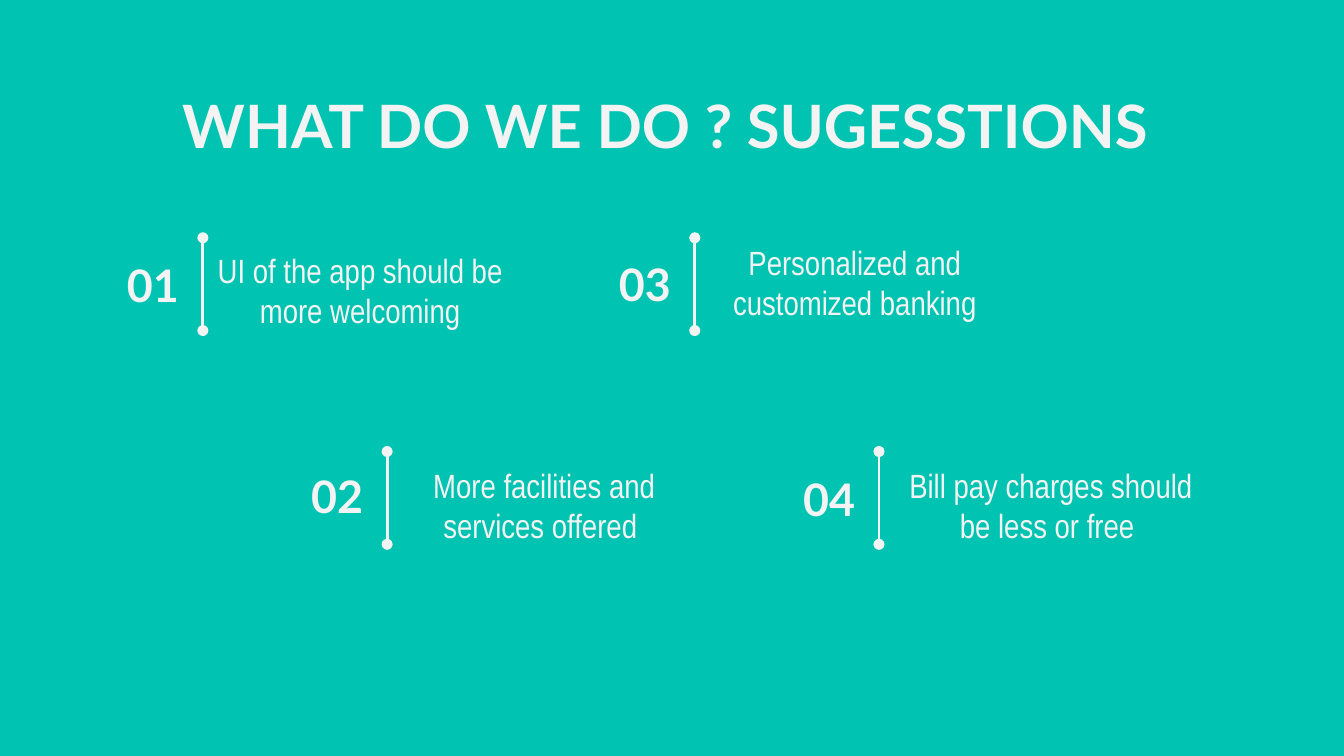
from dataclasses import dataclass

from lxml import etree
from pptx import Presentation
from pptx.dml.color import RGBColor
from pptx.enum.shapes import MSO_CONNECTOR
from pptx.enum.text import MSO_ANCHOR, PP_ALIGN
from pptx.oxml.ns import qn
from pptx.slide import Slide
from pptx.util import Pt

LINE = MSO_CONNECTOR.STRAIGHT
TOP, MIDDLE = MSO_ANCHOR.TOP, MSO_ANCHOR.MIDDLE
CENTER, RIGHT = PP_ALIGN.CENTER, PP_ALIGN.RIGHT
COLORS = {"back": "00C3B1", "ink": "F3F3F3"}
INSET = 7.2
RAIL = 49.7


@dataclass
class Style:
    """Look of a text box."""
    font: str
    size: float
    bold: bool
    align: PP_ALIGN
    anchor: MSO_ANCHOR
    after: float = 0


@dataclass
class Item:
    """One numbered point, placed by its rail and its two boxes."""
    label: str
    text: str
    rail: tuple[float, float]
    label_top: float
    body: tuple[float, float]


TITLE = Style("Lato", 32, True, CENTER, TOP)
LABEL = Style("Lato", 24, True, RIGHT, MIDDLE)
BODY = Style("Arial Narrow", 18, False, CENTER, TOP, 16)

ITEMS = [
    Item("01", "UI of the app should be more welcoming",
         (108.7, 127.4), 136.1, (100.8, 126.7)),
    Item("02", "More facilities and services offered ",
         (207.4, 241.9), 249.1, (199.4, 241.9)),
    Item("03", "Personalized and customized banking",
         (372.2, 127.4), 135.4, (365.8, 122.4)),
    Item("04", "Bill pay charges should be less or free ",
         (470.9, 241.9), 250.6, (470.9, 241.9)),
]


def add_text(slide: Slide, text: str, area: tuple[float, ...], style: Style) -> None:
    """Add a one-run text box."""
    frame = slide.shapes.add_textbox(*map(Pt, area)).text_frame
    frame.word_wrap = True
    frame.vertical_anchor = style.anchor
    frame.margin_left = frame.margin_right = Pt(INSET)
    frame.margin_top = frame.margin_bottom = Pt(INSET)
    para = frame.paragraphs[0]
    para.alignment = style.align
    para.space_after = Pt(style.after)
    run = para.add_run()
    run.text = text
    run.font.name = style.font
    run.font.size = Pt(style.size)
    run.font.bold = style.bold
    run.font.color.rgb = RGBColor.from_string(COLORS["ink"])


def add_rail(slide: Slide, left: float, top: float) -> None:
    """Add an upright line with a dot at each end."""
    rail = slide.shapes.add_connector(
        LINE, Pt(left), Pt(top), Pt(left), Pt(top + RAIL))
    rail.line.width = Pt(1.5)
    rail.line.color.rgb = RGBColor.from_string(COLORS["ink"])
    stroke = rail.line._get_or_add_ln()
    for end in ("a:headEnd", "a:tailEnd"):
        etree.SubElement(stroke, qn(end), type="oval", w="med", len="med")
    etree.SubElement(rail._element.spPr, qn("a:effectLst"))


def add_item(slide: Slide, item: Item) -> None:
    """Add the label, rail and text of one point."""
    left, top = item.rail
    add_text(slide, item.label, (left - 53.3, item.label_top, 47.5, 33.1), LABEL)
    add_rail(slide, left, top)
    add_text(slide, item.text, (*item.body, 184.3, 51.1), BODY)


def main() -> None:
    """Build and save the slide."""
    deck = Presentation()
    deck.slide_width, deck.slide_height = Pt(720), Pt(405)
    slide = deck.slides.add_slide(deck.slide_layouts[6])
    fill = slide.background.fill
    fill.solid()
    fill.fore_color.rgb = RGBColor.from_string(COLORS["back"])
    add_text(slide, "WHAT DO WE DO ? SUGESSTIONS ", (56.9, 40.3, 607, 45.4), TITLE)
    for item in ITEMS:
        add_item(slide, item)
    deck.save("out.pptx")


if __name__ == "__main__":
    main()
